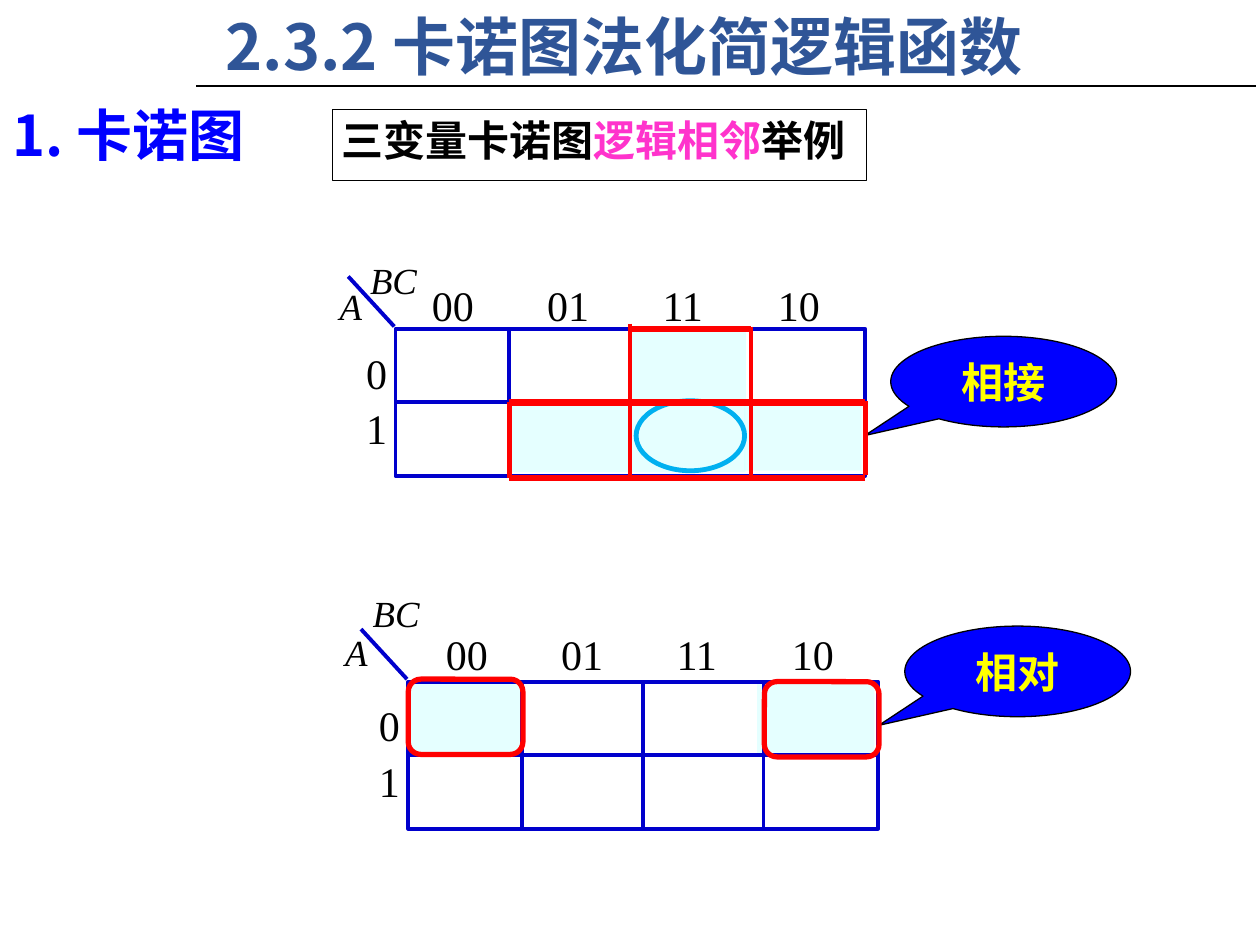
"""Build the slide on Karnaugh maps of three variables and their adjacent cells."""
from dataclasses import dataclass
from typing import Optional

from lxml import etree
from pptx import Presentation
from pptx import util as u
from pptx.dml.color import RGBColor
from pptx.enum import shapes as s, text as t
from pptx.oxml.ns import qn

CJK, LATIN = "Noto Sans CJK SC", "Times New Roman"
BLACK, BLUE, NAVY, RED = "000000", "0000FF", "0000CC", "FF0000"
MAP_WIDTH, MAP_HEIGHT, ROW_Y = 268.5, 84, 42
COLUMN_EDGES = (65, 134, 203)
COLUMN_PITCH = 65.9


@dataclass(frozen=True)
class Box:
    left: float
    top: float
    width: float
    height: float

    def moved(self, x: float, y: float) -> "Box":
        return Box(self.left + x, self.top + y, self.width, self.height)

    def lengths(self) -> list:
        return [u.Pt(v) for v in (self.left, self.top, self.width, self.height)]


@dataclass(frozen=True)
class Edge:
    x1: float
    y1: float
    x2: float
    y2: float
    color: str = NAVY
    weight: float = 2.25
    begin_site: Optional[int] = None
    end_site: Optional[int] = None


@dataclass(frozen=True)
class Mark:
    kind: s.MSO_SHAPE
    box: Box
    color: str
    weight: float


@dataclass(frozen=True)
class KarnaughMap:
    left: float
    top: float
    header: Box
    columns: Box
    rows: Box
    cells: tuple[Box, ...]
    marks: tuple[Mark, ...] = ()
    highlights: tuple[Edge, ...] = ()


@dataclass(frozen=True)
class Callout:
    words: str
    box: Box


GRID = (
    Edge(-0.7, -1.4, -27, -30),
    Edge(0, ROW_Y, MAP_WIDTH, ROW_Y, begin_site=1, end_site=3),
    Edge(COLUMN_EDGES[0], 0, COLUMN_EDGES[0], 85),
    Edge(COLUMN_EDGES[1], 0, COLUMN_EDGES[1], MAP_HEIGHT, begin_site=0, end_site=2),
    Edge(COLUMN_EDGES[2], 0, COLUMN_EDGES[2], 85),
)

MAPS = (
    KarnaughMap(
        226, 188,
        header=Box(-21.6, -44, 47.5, 42), columns=Box(13.7, -31.7, 239, 36),
        rows=Box(-39, -29.5, 31.7, 42),
        cells=(Box(199.4, 41, 67, 40), Box(133.2, 1.4, 67, 40), Box(66, 41.8, 134, 40)),
        marks=(Mark(s.MSO_SHAPE.OVAL, Box(137.5, 41, 62, 40), "00B0F0", 2.75),),
        highlights=(
            Edge(134, 0, 203, 0, RED, 3.5),
            Edge(65, 85, MAP_WIDTH, 85, RED, 3.5),
            Edge(65, ROW_Y, MAP_WIDTH, ROW_Y, RED, 3.5, end_site=3),
            Edge(134, -3, 134, 83.5, RED, 2.5),
            Edge(203, -1.4, 203, 84, RED, 2.5),
            Edge(65, ROW_Y, 65, 85, RED, 3),
            Edge(MAP_WIDTH, 41, MAP_WIDTH, 83.5, RED, 3),
        ),
    ),
    KarnaughMap(
        233.3, 389.5,
        header=Box(-27.4, -55.4, 47.5, 42), columns=Box(14.4, -33.8, 239, 36),
        rows=Box(-43.2, -33.1, 31.7, 42),
        cells=(Box(199.4, 1.4, 67, 40), Box(-1.4, 1.4, 67, 40)),
        marks=tuple(Mark(s.MSO_SHAPE.ROUNDED_RECTANGLE, Box(x, y, 65.5, 43), RED, 3)
                    for x, y in ((0, -1.4), (203.5, 0))),
    ),
)

CALLOUTS = (
    Callout("相接", Box(509, 192.2, 129, 51.8)),
    Callout("相对", Box(517, 357.8, 129, 51.8)),
)


def rgb(code: str) -> RGBColor:
    """Turn a hex string into a colour."""
    return RGBColor.from_string(code)


def write(shape, *lines, font=LATIN, size=24, color=BLACK, bold=False, italic=False,
          align=t.PP_ALIGN.LEFT, anchor=t.MSO_ANCHOR.TOP, spacing=None, tab=None):
    """Write lines into a shape, each a string or a list of (words, colour) pairs."""
    frame = shape.text_frame
    frame.word_wrap = True
    frame.vertical_anchor = anchor
    for index, line in enumerate(lines):
        paragraph = frame.add_paragraph() if index else frame.paragraphs[0]
        paragraph.alignment = align
        if spacing:
            paragraph.line_spacing = spacing
        if tab:
            stops = etree.SubElement(paragraph._p.get_or_add_pPr(), qn("a:tabLst"))
            for count in range(1, 4):
                etree.SubElement(stops, qn("a:tab"), pos=str(u.Pt(tab * count)), algn="l")
        for words, shade in [(line, color)] if isinstance(line, str) else line:
            run = paragraph.add_run()
            run.text = words
            run.font.name, run.font.size = font, u.Pt(size)
            run.font.bold, run.font.italic = bold, italic
            run.font.color.rgb = rgb(shade)
            etree.SubElement(run._r.get_or_add_rPr(), qn("a:ea"), typeface=font)


def add_label(slide, box: Box, *lines, **style):
    """Add a text box with the given lines."""
    write(slide.shapes.add_textbox(*box.lengths()), *lines, **style)


def draw_shape(slide, kind, box: Box, fill=None, alpha=None, line=None, weight=0.75):
    """Draw a preset shape with an optional fill and outline."""
    shape = slide.shapes.add_shape(kind, *box.lengths())
    shape.shadow.inherit = False
    if fill:
        shape.fill.solid()
        shape.fill.fore_color.rgb = rgb(fill)
        if alpha:
            tint = shape.fill._xPr.find(".//" + qn("a:srgbClr"))
            etree.SubElement(tint, qn("a:alpha"), val=str(alpha * 1000))
    else:
        shape.fill.background()
    if line:
        shape.line.color.rgb = rgb(line)
        shape.line.width = u.Pt(weight)
    else:
        shape.line.fill.background()
    return shape


def draw_edge(slide, edge: Edge, x: float = 0, y: float = 0, frame=None):
    """Draw a straight line, joined to the frame where it has a site."""
    ends = (edge.x1 + x, edge.y1 + y, edge.x2 + x, edge.y2 + y)
    line = slide.shapes.add_connector(s.MSO_CONNECTOR.STRAIGHT, *map(u.Pt, ends))
    line.line.color.rgb = rgb(edge.color)
    line.line.width = u.Pt(edge.weight)
    etree.SubElement(line._element.spPr, qn("a:effectLst"))
    if edge.begin_site is not None:
        line.begin_connect(frame, edge.begin_site)
    if edge.end_site is not None:
        line.end_connect(frame, edge.end_site)


def draw_map(slide, chart: KarnaughMap):
    """Draw a Karnaugh map with its cells, grid, labels and highlights."""
    x, y = chart.left, chart.top
    for cell in chart.cells:
        draw_shape(slide, s.MSO_SHAPE.RECTANGLE, cell.moved(x, y), fill="CCFFFF", alpha=50)
    frame = draw_shape(slide, s.MSO_SHAPE.RECTANGLE, Box(x, y, MAP_WIDTH, MAP_HEIGHT),
                       line=NAVY, weight=2.25)
    for edge in GRID:
        draw_edge(slide, edge, x, y, frame)
    add_label(slide, chart.columns.moved(x, y), "00\t01\t11\t10", tab=COLUMN_PITCH)
    add_label(slide, Box(x - 23.8, y + 4, 19.5, 69), "0", "1", spacing=1.1)
    add_label(slide, chart.header.moved(x, y), "BC", size=21, italic=True)
    add_label(slide, chart.rows.moved(x, y), "A", size=21, italic=True)
    for mark in chart.marks:
        draw_shape(slide, mark.kind, mark.box.moved(x, y), line=mark.color, weight=mark.weight)
    for edge in chart.highlights:
        draw_edge(slide, edge, x, y, frame)


def draw_callout(slide, callout: Callout):
    """Draw an elliptical callout pointing to the lower left."""
    balloon = draw_shape(slide, s.MSO_SHAPE.OVAL_CALLOUT, callout.box, fill=BLUE, line=BLACK)
    balloon.adjustments[0], balloon.adjustments[1] = -0.615, 0.595
    write(balloon, callout.words, font=CJK, color="FFFF00", bold=True,
          align=t.PP_ALIGN.CENTER, anchor=t.MSO_ANCHOR.MIDDLE)


def main():
    """Assemble and save the slide."""
    deck = Presentation()
    deck.slide_width, deck.slide_height = u.Pt(720), u.Pt(540)
    slide = deck.slides.add_slide(deck.slide_layouts[6])
    topic = draw_shape(slide, s.MSO_SHAPE.RECTANGLE, Box(190, 62.7, 305.3, 40.3), line=BLACK)
    topic.text_frame.margin_left = topic.text_frame.margin_right = u.Pt(5)
    topic.text_frame.margin_top = topic.text_frame.margin_bottom = u.Pt(2.5)
    write(topic, [("三变量卡诺图", BLACK), ("逻辑相邻", "FF33CC"), ("举例", BLACK)],
          font=CJK, bold=True)
    for callout in CALLOUTS:
        draw_callout(slide, callout)
    for chart in MAPS:
        draw_map(slide, chart)
    draw_edge(slide, Edge(112.3, 49, 718, 49, BLACK, 1.25))
    add_label(slide, Box(121.7, 0.7, 510.5, 51), "2.3.2 卡诺图法化简逻辑函数",
              font=CJK, size=36, color="2F5597", bold=True)
    add_label(slide, Box(0, 54, 198, 46), "1. 卡诺图", font=CJK, size=32, color=BLUE, bold=True)
    deck.save("out.pptx")


if __name__ == "__main__":
    main()
